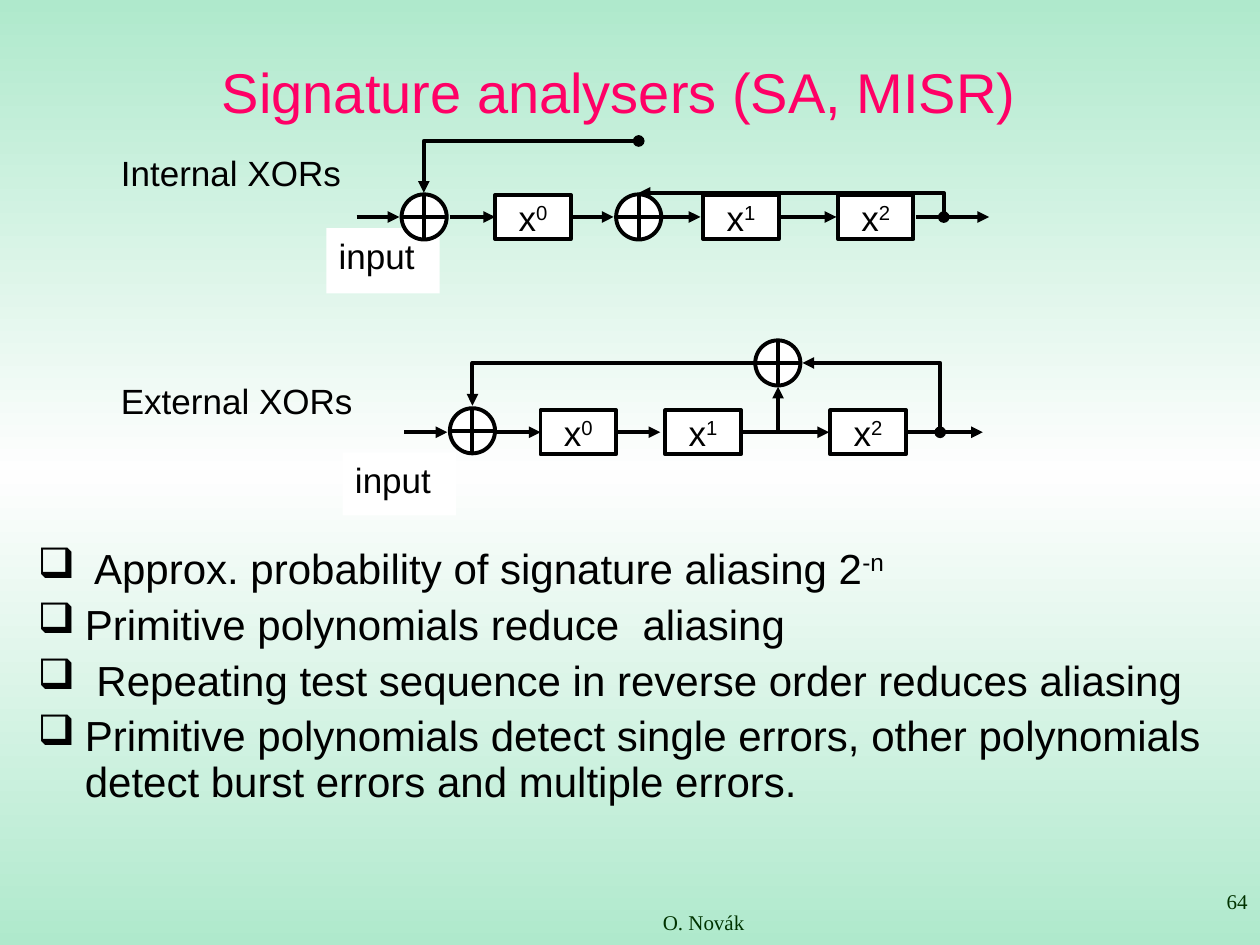
from lxml.etree import SubElement
from pptx import Presentation
from pptx.dml.color import RGBColor
from pptx.enum.shapes import MSO_CONNECTOR as CONNECTOR, MSO_SHAPE as SHAPE
from pptx.enum.text import MSO_ANCHOR as ANCHOR, PP_ALIGN as ALIGN
from pptx.oxml.ns import qn
from pptx.util import Pt

BACKGROUND = [(0, "AFE9CC"), (50, "FEFEFE"), (100, "AFE9CC")]
BLACK, WHITE, GREEN, PINK = "000000", "FFFFFF", "003300", "FF0066"
LINE_WIDTH = 2.25
BOX_WIDTH, BOX_HEIGHT, XOR_SIZE = 43.2, 25.2, 25.8

TITLE = "Signature analysers (SA, MISR)"
BULLETS = [
    (" Approx. probability of signature aliasing 2", "-n"),
    ("Primitive polynomials reduce  aliasing",),
    (" Repeating test sequence in reverse order reduces aliasing",),
    ("Primitive polynomials detect single errors, other polynomials "
     "detect burst errors and multiple errors.",),
]
REGISTERS = [
    {
        "name": ("Internal XORs", 62, 83, 140, 32),
        "input": (186.5, 130.3, 64.8, 37.4),
        "axis": 124,
        "boxes": [304.6, 423.4, 500.4],
        "xors": [(242.4, 124), (365, 124)],
        "wires": [(203.8, 228.2), (257, 283), (326.9, 350.6),
                  (378.7, 400.3), (445.7, 478), (523.4, 565.2)],
        "feedback": [
            ("oval", [(365, 80.6), (242.2, 80.6), (242.2, 110.2)]),
            ("oval", [(539.3, 124), (539.3, 110.2), (365, 110.2)]),
        ],
    },
    {
        "name": ("External XORs", 62, 213.1, 147, 32),
        "input": (195.8, 258.5, 64.8, 36),
        "axis": 247,
        "boxes": [330.5, 401.8, 496.1],
        "xors": [(270, 246.2), (444.5, 207.4)],
        "wires": [(231.1, 255.6), (283, 308.9), (352, 377.3),
                  (424, 473.8), (519, 561.6)],
        "feedback": [
            ("none", [(430.6, 207.4), (270, 207.4), (270, 231.8)]),
            ("none", [(444.6, 247), (444.6, 221)]),
            ("oval", [(537.3, 247), (537.3, 207.4), (458.6, 207.4)]),
        ],
    },
]


def color(value):
    return RGBColor.from_string(value)


def write(shape, paragraphs, size=20, font="Arial", fill=BLACK, align=ALIGN.LEFT,
          anchor=ANCHOR.TOP, insets=(7.2, 3.6), wrap=True, bullet=None,
          spacing=None, before=0):
    frame = shape.text_frame
    frame.word_wrap = wrap
    frame.vertical_anchor = anchor
    frame.margin_left = frame.margin_right = Pt(insets[0])
    frame.margin_top = frame.margin_bottom = Pt(insets[1])
    for index, parts in enumerate(paragraphs):
        paragraph = frame.add_paragraph() if index else frame.paragraphs[0]
        paragraph.alignment = align
        if spacing:
            paragraph.line_spacing = spacing
        if index:
            paragraph.space_before = Pt(before)
        if bullet:
            properties = paragraph._p.get_or_add_pPr()
            properties.set("marL", str(Pt(27)))
            properties.set("indent", str(-Pt(27)))
            SubElement(properties, qn("a:buChar"), char=bullet)
        for position, text in enumerate(parts):
            run = paragraph.add_run()
            run.text = text
            run.font.size = Pt(size)
            run.font.name = font
            run.font.color.rgb = color(fill)
            if position:
                run._r.get_or_add_rPr().set("baseline", "30000")


def add_text(slide, bounds, paragraphs, **style):
    box = slide.shapes.add_textbox(*map(Pt, bounds))
    write(box, paragraphs, **style)
    return box


def add_block(slide, kind, center, width, height):
    x, y = center
    shape = slide.shapes.add_shape(
        kind, Pt(x - width / 2), Pt(y - height / 2), Pt(width), Pt(height))
    shape.shadow.inherit = False
    shape.fill.solid()
    shape.fill.fore_color.rgb = color(WHITE)
    shape.line.color.rgb = color(BLACK)
    shape.line.width = Pt(LINE_WIDTH)
    return shape


def add_wire(slide, points, start="none"):
    points = [(Pt(x), Pt(y)) for x, y in points]
    if len(points) == 2:
        wire = slide.shapes.add_connector(CONNECTOR.STRAIGHT, *points[0], *points[1])
        SubElement(wire.element.spPr, qn("a:effectLst"))
    else:
        builder = slide.shapes.build_freeform(*points[0])
        builder.add_line_segments(points[1:], close=False)
        wire = builder.convert_to_shape()
        wire.shadow.inherit = False
        wire.fill.background()
    wire.line.color.rgb = color(BLACK)
    wire.line.width = Pt(LINE_WIDTH)
    outline = wire.element.spPr.find(qn("a:ln"))
    SubElement(outline, qn("a:headEnd"), type=start)
    SubElement(outline, qn("a:tailEnd"), type="triangle")


def set_background(slide):
    fill = slide.background.fill
    fill.gradient()
    fill.gradient_angle = 270
    stops = slide.element.find(".//" + qn("a:gsLst"))
    for stop in list(stops):
        stops.remove(stop)
    for percent, value in BACKGROUND:
        stop = SubElement(stops, qn("a:gs"), pos=str(percent * 1000))
        SubElement(stop, qn("a:srgbClr"), val=value)


def add_register(slide, register):
    axis = register["axis"]
    label = add_text(slide, register["input"], [("input",)])
    label.fill.solid()
    label.fill.fore_color.rgb = color(WHITE)
    for index, x in enumerate(register["boxes"]):
        box = add_block(slide, SHAPE.RECTANGLE, (x, axis), BOX_WIDTH, BOX_HEIGHT)
        write(box, [("x", str(index))], align=ALIGN.CENTER, insets=(2.9, 0.7))
    for center in register["xors"]:
        add_block(slide, SHAPE.FLOWCHART_OR, center, XOR_SIZE, XOR_SIZE)
    for left, right in register["wires"]:
        add_wire(slide, [(left, axis), (right, axis)])
    for start, points in register["feedback"]:
        add_wire(slide, points, start)
    name, *bounds = register["name"]
    add_text(slide, bounds, [(name,)], wrap=False)


def main():
    presentation = Presentation()
    presentation.slide_width, presentation.slide_height = Pt(720), Pt(540)
    slide = presentation.slides.add_slide(presentation.slide_layouts[6])
    set_background(slide)
    add_text(slide, (31, 19.4, 645.8, 55.4), [(TITLE,)], size=32, fill=PINK,
             align=ALIGN.CENTER, anchor=ANCHOR.BOTTOM)
    add_text(slide, (14.4, 309.6, 686.2, 181.4), BULLETS, size=24, bullet="❑",
             spacing=0.9, before=6)
    for register in REGISTERS:
        add_register(slide, register)
    footer = {"size": 12, "font": "Times New Roman", "fill": GREEN}
    add_text(slide, (288, 516.2, 228.2, 18), [("O. Novák",)],
             align=ALIGN.CENTER, **footer)
    add_text(slide, (570.2, 504, 149.8, 36), [("64",)], align=ALIGN.RIGHT, **footer)
    presentation.save("out.pptx")


if __name__ == "__main__":
    main()
